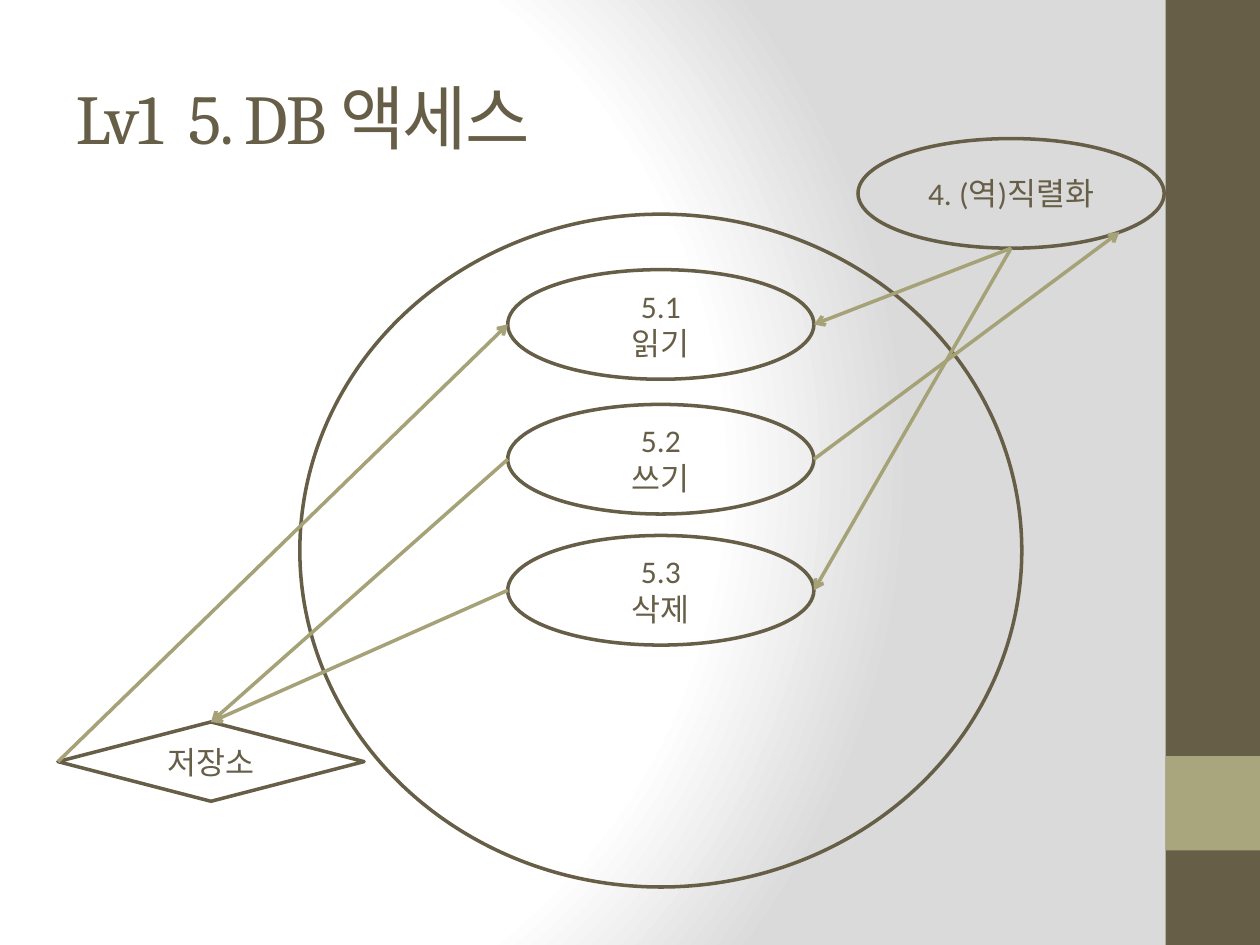
from dataclasses import dataclass
from math import cos, radians, sin

from lxml import etree
from pptx import Presentation
from pptx import util as u
from pptx.dml.color import RGBColor
from pptx.enum import shapes, text
from pptx.oxml import parse_xml
from pptx.oxml.ns import qn

NS = 'xmlns:a="http://schemas.openxmlformats.org/drawingml/2006/main"'


@dataclass
class Theme:
    """Colours, fonts and sizes of the slide."""
    dark: str = "675E47"
    sand: str = "A9A57C"
    arrow: str = "A6A278"
    white: str = "FFFFFF"
    grey: str = "DADADA"
    head: str = "Cambria"
    body: str = "Calibri"
    title: int = 40
    label: int = 18
    line: int = 2


class Board:
    """Draws flow elements on one slide in one theme."""

    def __init__(self, deck, theme):
        self.theme = theme
        self.slide = deck.slides.add_slide(deck.slide_layouts[5])

    def back(self):
        t = self.theme
        fill = self.slide.background.fill
        fill.solid()
        stops = "".join(
            f'<a:gs pos="{pos}000"><a:srgbClr val="{tint}"/></a:gs>'
            for pos, tint in ((0, t.white), (75, t.white), (100, t.grey)))
        grad = parse_xml(
            f'<a:gradFill {NS} rotWithShape="1"><a:gsLst>{stops}</a:gsLst>'
            '<a:path path="circle"><a:fillToRect l="20000" t="50000" '
            'r="100000" b="50000"/></a:path></a:gradFill>')
        props = self.slide.background._cSld.bg.bgPr
        props.replace(props.find(qn("a:solidFill")), grad)

    def style(self, para, **form):
        base = dict(name=self.theme.body, size=u.Pt(self.theme.label), bold=False)
        for key, val in (base | form).items():
            setattr(para.font, key, val)
        para.font.color.rgb = RGBColor.from_string(self.theme.dark)

    def title(self, words, *box):
        shape = self.slide.shapes.title
        for key, val in zip(("left", "top", "width", "height"), box):
            setattr(shape, key, u.Inches(val))
        frame = shape.text_frame
        frame.text = words
        frame.vertical_anchor = text.MSO_ANCHOR.MIDDLE
        para = frame.paragraphs[0]
        para.alignment = text.PP_ALIGN.LEFT
        self.style(para, name=self.theme.head, size=u.Pt(self.theme.title))
        run = para.runs[0].font
        run.name, run.size = self.theme.head, u.Pt(self.theme.title)
        run._element.set("spc", "-100")

    def shape(self, kind, box):
        item = self.slide.shapes.add_shape(kind, *map(u.Inches, box))
        item.shadow.inherit = False
        return item

    def bar(self, tint, *box):
        item = self.shape(shapes.MSO_SHAPE.RECTANGLE, box)
        item.fill.solid()
        item.fill.fore_color.rgb = RGBColor.from_string(tint)
        item.line.fill.background()

    def node(self, words, *box, kind=shapes.MSO_SHAPE.OVAL):
        item = self.shape(kind, box)
        item.fill.background()
        item.line.color.rgb = RGBColor.from_string(self.theme.dark)
        item.line.width = u.Pt(self.theme.line)
        frame = item.text_frame
        frame.text = words
        frame.vertical_anchor = text.MSO_ANCHOR.MIDDLE
        for para in frame.paragraphs:
            para.alignment = text.PP_ALIGN.CENTER
            self.style(para)
        return item

    def point(self, item, site):
        turn = radians(45 * site)
        return (round(item.left + item.width / 2 * (1 - sin(turn))),
                round(item.top + item.height / 2 * (1 - cos(turn))))

    def link(self, start, out, end, into):
        """Join two nodes at sites counted in eighths, leftward from the top."""
        line = self.slide.shapes.add_connector(
            shapes.MSO_CONNECTOR.STRAIGHT,
            *self.point(start, out), *self.point(end, into))
        line.line.color.rgb = RGBColor.from_string(self.theme.arrow)
        line.line.width = u.Pt(self.theme.line)
        props = line._element.spPr
        etree.SubElement(props.find(qn("a:ln")), qn("a:tailEnd"), type="arrow")
        etree.SubElement(props, qn("a:effectLst"))
        joins = line._element.nvCxnSpPr.cNvCxnSpPr
        for tag, item, site in (("a:stCxn", start, out), ("a:endCxn", end, into)):
            oval = item.auto_shape_type == shapes.MSO_SHAPE.OVAL
            etree.SubElement(joins, qn(tag), id=str(item.shape_id),
                             idx=str(site if oval else site // 2))


def main():
    deck = Presentation()
    deck.slide_width, deck.slide_height = u.Inches(10), u.Inches(7.5)
    theme = Theme()
    board = Board(deck, theme)
    board.back()
    board.bar(theme.dark, 9.25, 0, 0.75, 7.5)
    board.bar(theme.sand, 9.25, 6, 0.75, 0.75)
    board.title("Lv1  5. DB 액세스", 0.5, 0.3, 8.33, 1.25)

    wide, high = 2.43, 0.87
    serial = board.node("4. (역)직렬화", 6.81, 1.1, wide, high)
    store = board.node("저장소", 0.46, 5.73, wide, 0.63,
                       kind=shapes.MSO_SHAPE.DIAMOND)
    board.node("", 2.38, 1.7, 5.73, 5.34)
    read, write, erase = [
        board.node(words, 4.03, top, wide, high)
        for words, top in (("5.1\n읽기", 2.14), ("5.2\n쓰기", 3.21),
                           ("5.3\n삭제", 4.25))]

    top, left, base, corner, right = 0, 2, 4, 5, 6
    for ends in ((serial, base, read, right), (write, right, serial, corner),
                 (store, left, read, left), (write, left, store, top),
                 (serial, base, erase, right), (erase, left, store, top)):
        board.link(*ends)
    deck.save("out.pptx")


if __name__ == "__main__":
    main()
